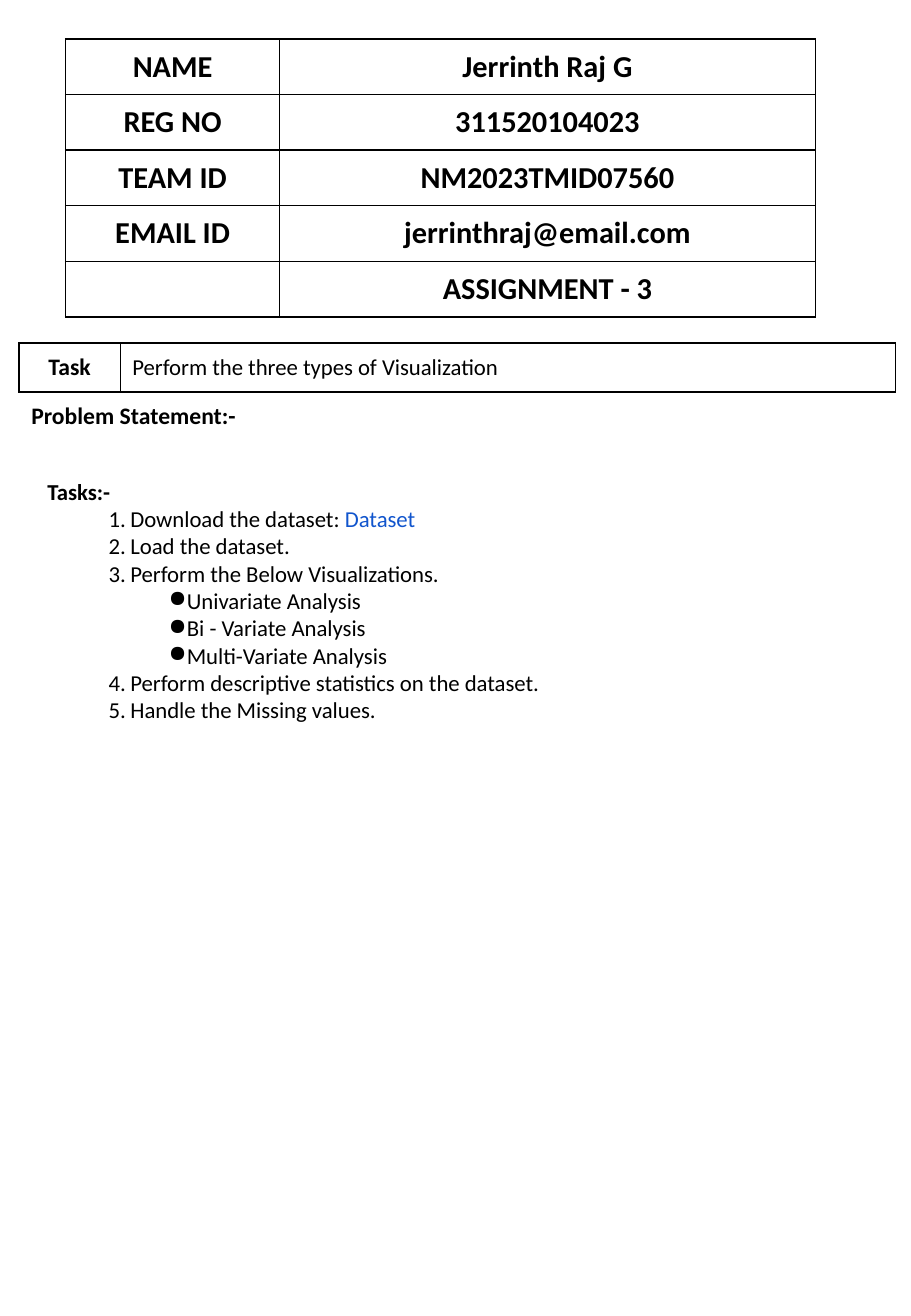
from lxml import etree
from pptx import Presentation
from pptx.dml.color import RGBColor
from pptx.enum.text import MSO_ANCHOR, MSO_AUTO_SIZE, PP_ALIGN
from pptx.oxml.ns import qn
from pptx.util import Inches, Pt

MIDDLE = MSO_ANCHOR.MIDDLE
GROW = MSO_AUTO_SIZE.SHAPE_TO_FIT_TEXT
LEFT, CENTER, JUSTIFY = PP_ALIGN.LEFT, PP_ALIGN.CENTER, PP_ALIGN.JUSTIFY
WIDTH, HEIGHT = 7.5, 10.83
ALL_SIDES = "LRTB"


def color(value):
    return RGBColor.from_string(value)


class Sheet:
    """Style and current slide; lengths are percent of the slide's size."""
    font, ink, link = "Calibri", "000000", "1155CD"
    body_size = 13.5

    def __init__(self, deck):
        self.page = deck.slides.add_slide(deck.slide_layouts[6])

    def across(self, share):
        return Inches(WIDTH * share / 100)

    def down(self, share):
        return Inches(HEIGHT * share / 100)

    def span(self, para, text, size=body_size, bold=False, ink=ink):
        span = para.add_run()
        span.text = text
        span.font.name = self.font
        span.font.size = Pt(size)
        span.font.bold = bold
        span.font.color.rgb = color(ink)

    def table(self, left, top, columns, row_height, row_count):
        frame = self.page.shapes.add_table(
            row_count, len(columns), self.across(left), self.down(top),
            self.across(sum(columns)), self.down(row_height * row_count))
        table = frame.table
        table.first_row = table.horz_banding = False
        for column, width in zip(table.columns, columns):
            column.width = self.across(width)
        for row in table.rows:
            row.height = self.down(row_height)
        return table

    def cell(self, cell, text="", size=18, bold=True, align=CENTER, sides=ALL_SIDES):
        cell.fill.background()
        cell.vertical_anchor = MIDDLE
        self.borders(cell, sides)
        if text:
            para = cell.text_frame.paragraphs[0]
            para.alignment = align
            self.span(para, text, size, bold)

    def borders(self, cell, sides):
        properties = cell._tc.get_or_add_tcPr()
        for place, side in enumerate(ALL_SIDES):
            line = etree.Element(qn(f"a:ln{side}"), w=str(Pt(1)))
            if side in sides:
                fill = etree.SubElement(line, qn("a:solidFill"))
                etree.SubElement(fill, qn("a:srgbClr"), val=self.ink)
            else:
                etree.SubElement(line, qn("a:noFill"))
            properties.insert(place, line)

    def text_box(self, left, top, width, height):
        box = self.page.shapes.add_textbox(
            self.across(left), self.down(top), self.across(width), self.down(height))
        box.text_frame.word_wrap = True
        box.text_frame.auto_size = GROW
        return box.text_frame

    def list_item(self, frame, text, margin, hanging, level=0, start=None):
        para = frame.add_paragraph()
        para.level = level
        properties = para._p.get_or_add_pPr()
        properties.set("marL", str(self.across(margin)))
        properties.set("indent", str(-self.across(hanging)))
        if start:
            etree.SubElement(properties, qn("a:buFont"), typeface=self.font)
            etree.SubElement(properties, qn("a:buAutoNum"),
                             type="arabicPeriod", startAt=str(start))
        else:
            etree.SubElement(properties, qn("a:buChar"), char="●")
        self.span(para, text)
        return para

    def numbered(self, frame, texts, start):
        return [self.list_item(frame, text, 9.1, 2.4, start=start) for text in texts]

    def bulleted(self, frame, texts):
        for text in texts:
            self.list_item(frame, text, 15.3, 2, level=1)


def main():
    deck = Presentation()
    deck.slide_width, deck.slide_height = Inches(WIDTH), Inches(HEIGHT)
    sheet = Sheet(deck)

    # Student details
    details = [
        ("NAME", "Jerrinth Raj G"),
        ("REG NO", "311520104023"),
        ("TEAM ID", "NM2023TMID07560"),
        ("EMAIL ID", "jerrinthraj@email.com"),
        ("", "ASSIGNMENT - 3"),
    ]
    student = sheet.table(7.2, 2.95, [23.5, 58.8], 4.23, len(details))
    for row, texts in enumerate(details):
        for column, text in enumerate(texts):
            sheet.cell(student.cell(row, column), text)

    # Task and problem statement
    task = sheet.table(2.1, 26.05, [11.1, 85.1], 3.75, 2)
    sheet.cell(task.cell(0, 0), "Task", 14)
    sheet.cell(task.cell(0, 1), "Perform the three types of Visualization",
               sheet.body_size, False, JUSTIFY)
    task.cell(1, 0).merge(task.cell(1, 1))
    sheet.cell(task.cell(1, 0), "Problem Statement:-", 14, align=LEFT, sides="T")
    sheet.cell(task.cell(1, 1), sides="T")

    # Task list
    tasks = sheet.text_box(3.9, 35.83, 94.4, 19.85)
    sheet.span(tasks.paragraphs[0], "Tasks:-", bold=True)
    first_steps = sheet.numbered(tasks, [
        "Download the dataset: ",
        "Load the dataset.",
        "Perform the Below Visualizations.",
    ], start=1)
    sheet.span(first_steps[0], "Dataset", ink=sheet.link)
    sheet.bulleted(tasks, [
        "Univariate Analysis",
        "Bi - Variate Analysis",
        "Multi-Variate Analysis",
    ])
    sheet.numbered(tasks, [
        "Perform descriptive statistics on the dataset.",
        "Handle the Missing values.",
    ], start=len(first_steps) + 1)

    deck.save("out.pptx")


if __name__ == "__main__":
    main()
